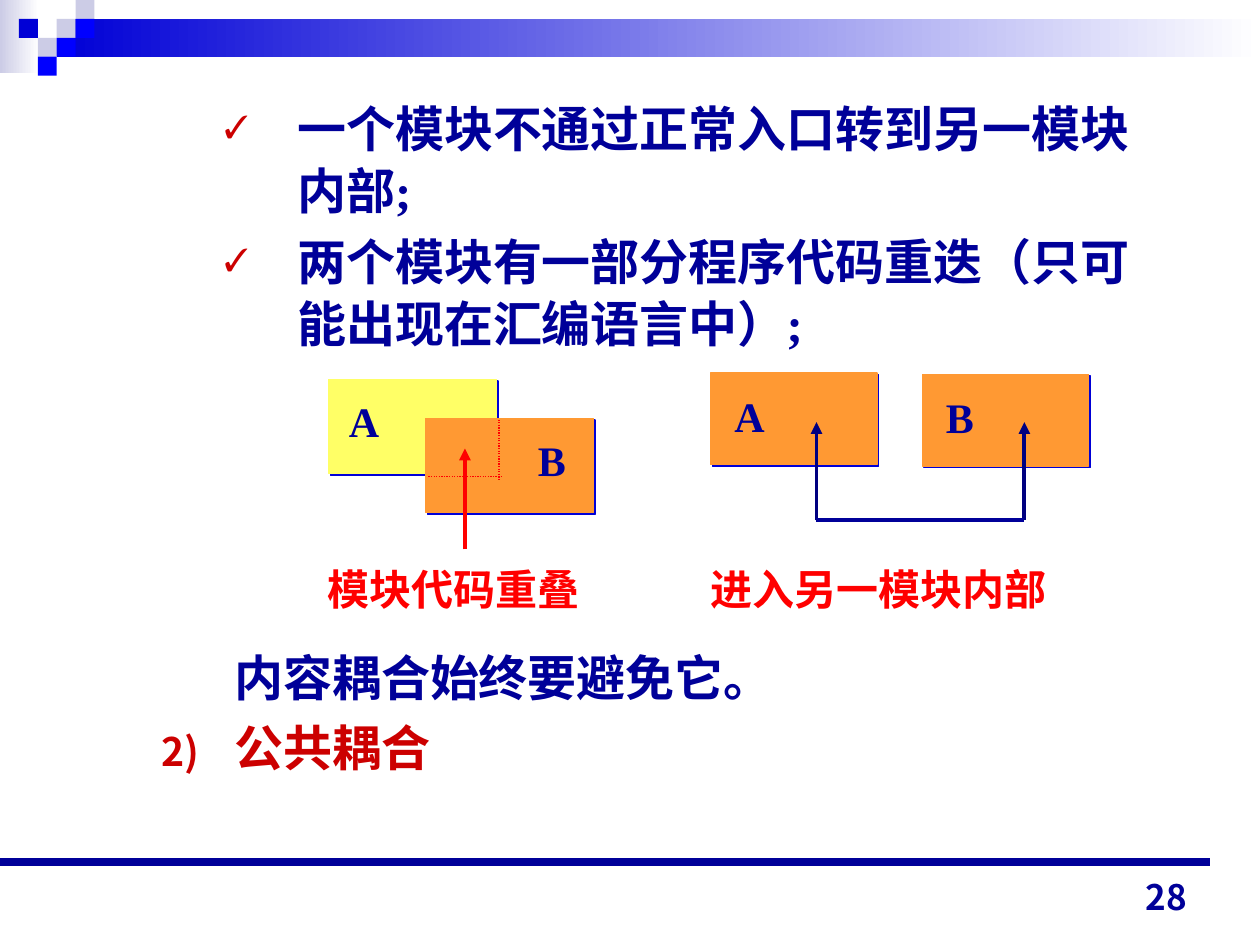
from dataclasses import dataclass

from lxml.etree import SubElement
from pptx import Presentation
from pptx.dml.color import RGBColor
from pptx.enum.dml import MSO_LINE
from pptx.enum.shapes import MSO_CONNECTOR, MSO_SHAPE
from pptx.enum.text import MSO_ANCHOR, MSO_AUTO_SIZE, PP_ALIGN
from pptx.oxml.ns import qn
from pptx.util import Inches, Pt


@dataclass(frozen=True)
class Theme:
    ink: str = "000099"
    navy: str = "000080"
    blue: str = "0000FF"
    deep: str = "0000D6"
    pale: str = "CCCCE6"
    white: str = "FFFFFF"
    mark: str = "CC0000"
    red: str = "FF0000"
    orange: str = "FF9933"
    yellow: str = "FFFF66"
    body: int = 28
    label: int = 24
    page: int = 20
    serif: str = "Times New Roman"
    sans: str = "Noto Sans CJK JP"


T = Theme()


def rgb(code):
    return RGBColor.from_string(code)


def write(para, text, size=T.label, color=T.ink, font=T.serif, align=None):
    """Add one bold run to a paragraph."""
    para.alignment = align
    run = para.add_run()
    run.text = text
    run.font.size, run.font.bold, run.font.name = Pt(size), True, font
    run.font.color.rgb = rgb(color)
    SubElement(run._r.get_or_add_rPr(), qn("a:ea"), typeface=T.sans)


def label(slide, text, x, y, w, wrap=False, anchor=MSO_ANCHOR.TOP, **form):
    box = slide.shapes.add_textbox(Inches(x), Inches(y), Inches(w), Inches(0.5))
    frame = box.text_frame
    frame.word_wrap, frame.vertical_anchor = wrap, anchor
    if not wrap:
        frame.auto_size = MSO_AUTO_SIZE.SHAPE_TO_FIT_TEXT
    write(frame.paragraphs[0], text, **form)


def block(slide, x, y, w, h, color, fade=False):
    """Add a flat rectangle, or one that fades to white on the right."""
    shape = slide.shapes.add_shape(
        MSO_SHAPE.RECTANGLE, Inches(x), Inches(y), Inches(w), Inches(h))
    shape.shadow.inherit = False
    shape.line.fill.background()
    if fade:
        shape.fill.gradient()
        shape.fill.gradient_angle = 0
        for stop, tone in zip(shape.fill.gradient_stops, (color, T.white)):
            stop.color.rgb = rgb(tone)
    else:
        shape.fill.solid()
        shape.fill.fore_color.rgb = rgb(color)
    return shape


def module(slide, x, y, w, h, color):
    """Add a module box with a hard blue shadow."""
    shape = block(slide, x, y, w, h, color)
    shape.line.color.rgb = rgb(color)
    shape.line.width = Pt(0.75)
    effects = shape._element.spPr.find(qn("a:effectLst"))
    shade = SubElement(effects, qn("a:outerShdw"), blurRad="0",
                       dist=str(Pt(1.4)), dir="2700000", algn="ctr",
                       rotWithShape="0")
    SubElement(shade, qn("a:srgbClr"), val=T.deep)


def line(slide, x1, y1, x2, y2, color, width=2.25, arrow=False, dash=None):
    link = slide.shapes.add_connector(
        MSO_CONNECTOR.STRAIGHT, Inches(x1), Inches(y1), Inches(x2), Inches(y2))
    link.line.color.rgb = rgb(color)
    link.line.width = Pt(width)
    if dash:
        link.line.dash_style = dash
    if arrow:
        SubElement(link.line._get_or_add_ln(), qn("a:tailEnd"), type="triangle")
    SubElement(link._element.spPr, qn("a:effectLst"))


def bullet(para, left, hang, kind, size=100, font=T.sans, **attrs):
    """Set the indent and the bullet element of a paragraph."""
    props = para._p.get_or_add_pPr()
    props.set("marL", str(Inches(left)))
    props.set("indent", str(Inches(-hang)))
    if kind != "buNone":
        tint = SubElement(props, qn("a:buClr"))
        SubElement(tint, qn("a:srgbClr"), val=T.mark)
        SubElement(props, qn("a:buSzPct"), val=str(size * 1000))
        SubElement(props, qn("a:buFont"), typeface=font)
    SubElement(props, qn("a:" + kind), **attrs)


def item(frame, text, level, gap, color=T.ink, **mark):
    first = not frame.paragraphs[0].runs
    para = frame.paragraphs[0] if first else frame.add_paragraph()
    para.level, para.line_spacing = level, 1.05
    para.space_before = Pt(0 if first else gap)
    bullet(para, **mark)
    write(para, text, size=T.body, color=color)


def header(slide):
    block(slide, 0, 0, 0.31, 0.58, T.pale, fade=True)
    block(slide, 0.45, 0.15, 9.55, 0.3, T.deep, fade=True)
    side = 0.15
    cells = [(3, 1, T.pale), (4, 0, T.pale), (4, 1, T.blue), (2, 2, T.pale),
             (1, 1, T.deep), (3, 2, T.blue), (2, 3, T.blue)]
    for col, row, color in cells:
        block(slide, col * side, row * side, side, side, color)


def points(slide):
    body = slide.placeholders[1]
    body.left, body.top = Inches(0.68), Inches(0.71)
    body.width, body.height = Inches(8.5), Inches(6.07)
    frame = body.text_frame
    frame.auto_size = MSO_AUTO_SIZE.NONE
    tick = dict(left=1.58, hang=0.58, kind="buChar", size=65, font=T.serif,
                char="✓")
    for text in ("一个模块不通过正常入口转到另一模块内部;",
                 "两个模块有一部分程序代码重迭（只可能出现在汇编语言中）;"):
        item(frame, text, 2, 5.2, **tick)
    # The wide gap leaves room for the two diagrams
    item(frame, "内容耦合始终要避免它。", 1, 167, left=1.08, hang=0, kind="buNone")
    item(frame, "公共耦合", 1, 5.2, color=T.mark, left=1.08, hang=0.58,
         kind="buAutoNum", size=80, type="arabicParenR", startAt="2")


def jump(slide):
    """Draw two modules, one entered from inside the other."""
    for name, x, y in (("A", 5.64, 2.96), ("B", 7.32, 2.97)):
        module(slide, x, y, 1.32, 0.73, T.orange)
        label(slide, name, x + 0.09, y + 0.09, 0.43)
    for x in (6.48, 8.13):
        line(slide, x, 4.13, x, 3.35, T.navy, arrow=True)
    line(slide, 6.48, 4.13, 8.13, 4.13, T.ink)
    label(slide, "进入另一模块内部", 5.54, 4.42, 2.9, color=T.red)


def overlap(slide):
    """Draw two modules that share some code."""
    module(slide, 2.61, 3.01, 1.33, 0.75, T.yellow)
    module(slide, 3.38, 3.32, 1.33, 0.75, T.orange)
    for ends in ((3.4, 3.78, 3.99, 3.78), (3.96, 3.33, 3.96, 3.81)):
        line(slide, *ends, T.red, width=0.75, dash=MSO_LINE.ROUND_DOT)
    line(slide, 3.69, 4.36, 3.69, 3.56, T.red, arrow=True)
    label(slide, "A", 2.67, 3.09, 0.44)
    label(slide, "B", 4.17, 3.4, 0.42)
    label(slide, "模块代码重叠", 2.5, 4.42, 2.2, color=T.red)


def footer(slide):
    line(slide, 0, 6.84, 9.6, 6.84, T.ink, width=4.5)
    label(slide, "28", 7.19, 6.83, 2.33, wrap=True, anchor=MSO_ANCHOR.BOTTOM,
          size=T.page, font=T.sans, align=PP_ALIGN.RIGHT)


def main():
    deck = Presentation()
    deck.slide_width, deck.slide_height = Inches(10), Inches(7.5)
    slide = deck.slides.add_slide(deck.slide_layouts[1])
    # This slide has no title
    title = slide.shapes.title._element
    title.getparent().remove(title)
    for part in (header, points, jump, overlap, footer):
        part(slide)
    deck.save("out.pptx")


if __name__ == "__main__":
    main()
